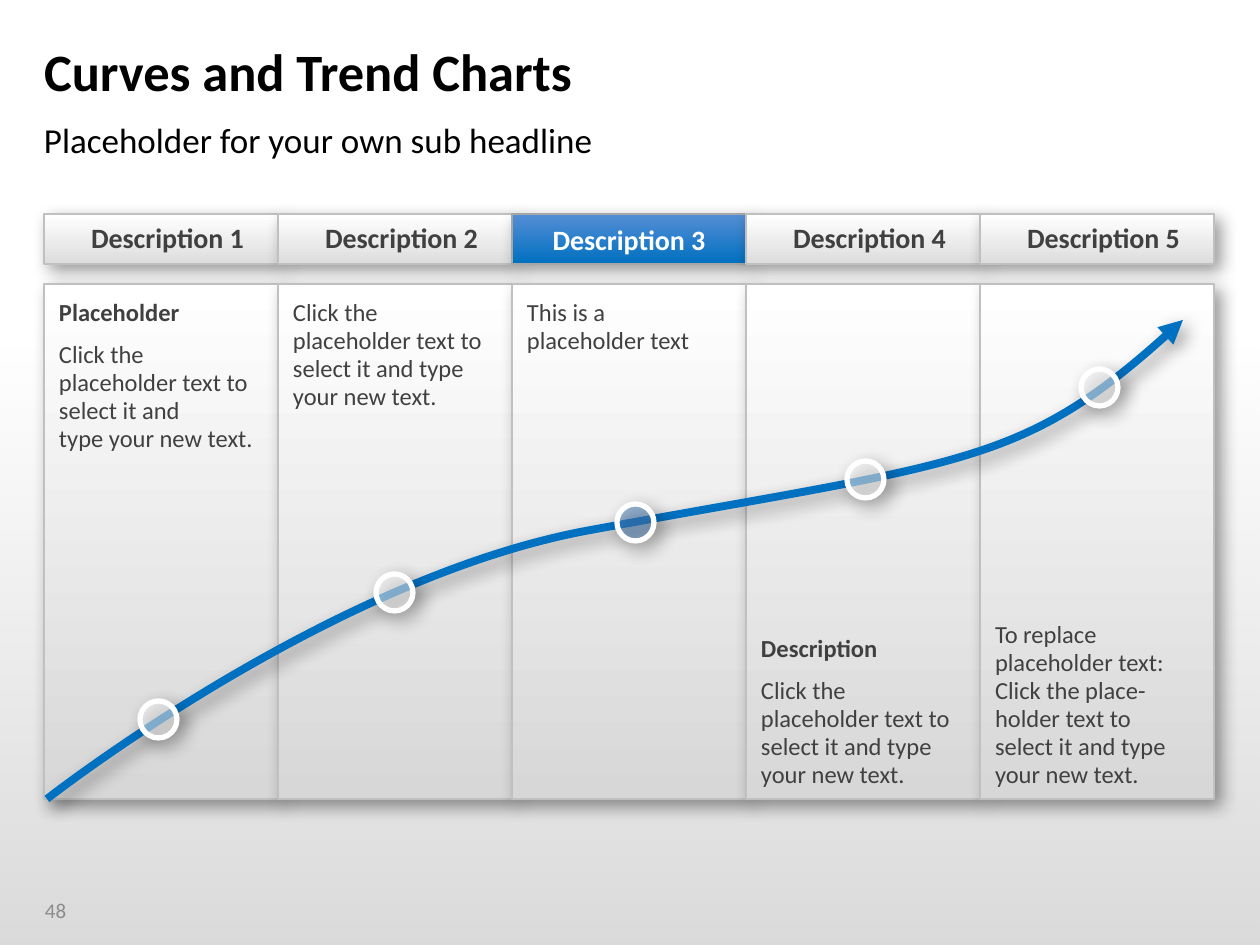
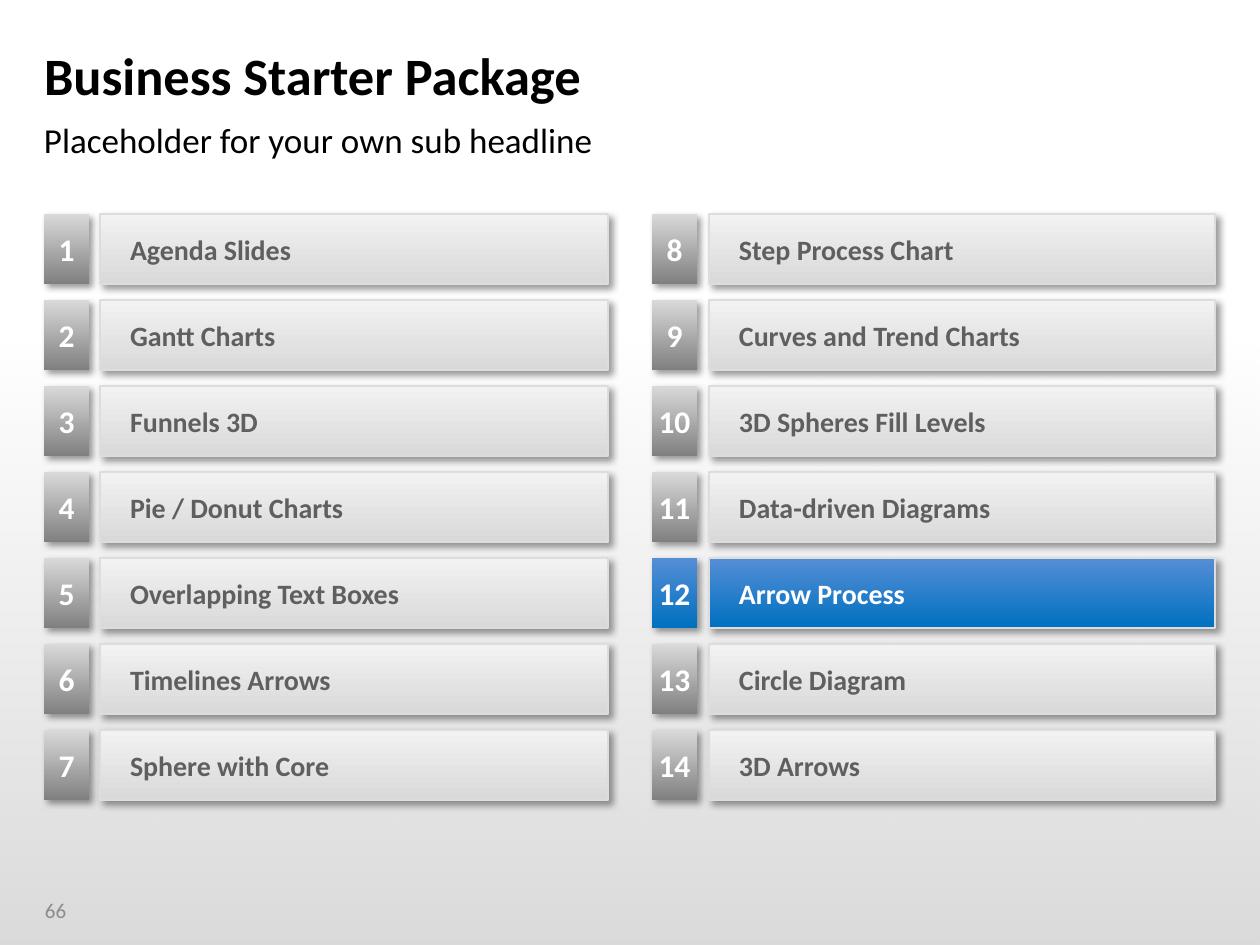
from copy import deepcopy
from dataclasses import dataclass
from typing import NamedTuple, Optional

from lxml.etree import SubElement
from pptx import Presentation
from pptx.dml.color import RGBColor
from pptx.enum.shapes import MSO_SHAPE as Shape
from pptx.enum.text import MSO_ANCHOR as Anchor, PP_ALIGN as Align
from pptx.oxml.ns import qn
from pptx.util import Emu, Pt

PX = 914400 / 126
FONT = "Calibri"
BLACK, WHITE = "000000", "FFFFFF"
DARK_GREY, LABEL_GREY, PAGE_GREY = "404040", "5F5F5F", "8C8C8C"
BORDER, HIGHLIGHT_BORDER, BAR_BORDER = "C0C0C0", "A6A6A6", "DDDDDD"
BLUE, MARKER_BLUE = "0070C0", "4F81BD"
BLUE_GRADIENT = ("558ED5", BLUE)
HEADER_GRADIENT = (WHITE, "DDDDDD")
COLUMN_GRADIENT = (WHITE, "D7D7D7")
BAR_GRADIENT = ("F2F2F2", "D9D9D9")
NUMBER_GRADIENT = ("D9D9D9", "808080")

LEFT, TOP, CONTENT_WIDTH = 44, 214, 1170


class Box(NamedTuple):
    left: int
    top: int
    width: int
    height: int


class Shadow(NamedTuple):
    blur: int
    distance: int


SOFT_SHADOW = Shadow(10, 5)
TIGHT_SHADOW = Shadow(4, 3)


@dataclass(frozen=True)
class Column:
    header: str
    text: str
    heading: str = ""
    anchor: Anchor = Anchor.TOP
    highlighted: bool = False


@dataclass(frozen=True)
class Marker:
    x: int
    y: int
    color: str = WHITE


@dataclass(frozen=True)
class AgendaColumn:
    number_left: int
    bar_left: int
    bar_width: int
    first_number: int
    topics: tuple[str, ...]


COLUMNS = (
    Column("Description 1", "Click the placeholder text to select it and\ntype your new text.",
           heading="Placeholder"),
    Column("Description 2", "Click the placeholder text to select it and type your new text."),
    Column("Description 3", "This is a placeholder text", highlighted=True),
    Column("Description 4", "Click the placeholder text to select it and type your new text.",
           heading="Description", anchor=Anchor.BOTTOM),
    Column("Description 5", "To replace placeholder text: Click the place-holder text "
           "to select it and type your new text.", anchor=Anchor.BOTTOM),
)
CURVE_POINTS = ((47, 799), (47, 799), (330, 577), (591, 530), (963, 462), (1026, 466), (1183, 320))
MARKERS = (Marker(394, 592), Marker(158, 719), Marker(635, 522, MARKER_BLUE),
           Marker(865, 479), Marker(1099, 387))
AGENDA = (
    AgendaColumn(44, 100, 508, 1, (
        "Agenda Slides", "Gantt Charts", "Funnels 3D", "Pie / Donut Charts",
        "Overlapping Text Boxes", "Timelines Arrows", "Sphere with Core")),
    AgendaColumn(652, 709, 506, 8, (
        "Step Process Chart", "Curves and Trend Charts", "3D Spheres Fill Levels",
        "Data-driven Diagrams", "Arrow Process", "Circle Diagram", "3D Arrows")),
)
CURRENT_TOPIC = 12


def px(length: float) -> Emu:
    return Emu(round(length * PX))


def rgb(color: str) -> RGBColor:
    return RGBColor.from_string(color)


def set_alpha(parent, percent: int) -> None:
    for color in parent.iter(qn("a:srgbClr")):
        SubElement(color, qn("a:alpha"), val=str(percent * 1000))


def set_line(shape, color: Optional[str], width: float) -> None:
    if color is None:
        shape.line.fill.background()
    else:
        shape.line.color.rgb = rgb(color)
        shape.line.width = Pt(width)


def set_shadow(shape, shadow: Optional[Shadow]) -> None:
    shape.shadow.inherit = False
    if shadow:
        effects = shape._element.spPr.find(qn("a:effectLst"))
        outer = SubElement(effects, qn("a:outerShdw"), blurRad=str(Pt(shadow.blur)),
                           dist=str(Pt(shadow.distance)), dir="2700000", algn="tl", rotWithShape="0")
        SubElement(outer, qn("a:srgbClr"), val=BLACK)
        set_alpha(outer, 40)


def add_panel(slide, box: Box, gradient: tuple[str, str], line: Optional[str] = None,
              line_width: float = 1, shadow: Optional[Shadow] = None):
    shape = slide.shapes.add_shape(Shape.RECTANGLE, *map(px, box))
    shape.fill.gradient()
    shape.fill.gradient_angle = 270
    for stop, color in zip(shape.fill.gradient_stops, gradient):
        stop.color.rgb = rgb(color)
    set_line(shape, line, line_width)
    set_shadow(shape, shadow)
    return shape


def set_frame(shape, insets: tuple[int, int, int, int], anchor: Anchor = Anchor.MIDDLE) -> None:
    frame = shape.text_frame
    frame.word_wrap = True
    frame.vertical_anchor = anchor
    frame.margin_left, frame.margin_top, frame.margin_right, frame.margin_bottom = map(px, insets)


def write(shape, text: str, *, size: int, color: str, bold: bool = False,
          align: Align = Align.LEFT, spacing: Optional[float] = None,
          after: Optional[int] = None) -> None:
    frame = shape.text_frame
    paragraph = frame.add_paragraph() if frame.text else frame.paragraphs[0]
    paragraph.text = text
    paragraph.alignment = align
    if spacing is not None:
        paragraph.line_spacing = spacing
    if after is not None:
        paragraph.space_after = Pt(after)
    for run in paragraph.runs:
        run.font.name = FONT
        run.font.size = Pt(size)
        run.font.bold = bold
        run.font.color.rgb = rgb(color)
    for line_break in paragraph._p.iter(qn("a:br")):
        line_break.append(deepcopy(paragraph.runs[0]._r.rPr))


def add_text_box(slide, box: Box, insets: tuple[int, int, int, int], text: str,
                 anchor: Anchor, size: int, color: str) -> None:
    shape = slide.shapes.add_textbox(*map(px, box))
    set_frame(shape, insets, anchor)
    write(shape, text, size=size, color=color)


def add_layout_shade(slide) -> None:
    shade = add_panel(slide, Box(0, 326, 1260, 619), (BLACK, BLACK))
    for stop, percent in zip(shade._element.iter(qn("a:gs")), (0, 15)):
        set_alpha(stop, percent)
    slide.slide_layout.shapes._spTree.insert(2, shade._element)


def add_titled_slide(presentation, title: str, page: int, title_spacing: Optional[float] = None):
    slide = presentation.slides.add_slide(presentation.slide_layouts[5])
    heading = slide.shapes.title
    heading.left, heading.top, heading.width, heading.height = map(px, (LEFT, 33, CONTENT_WIDTH, 84))
    set_frame(heading, (0, 6, 13, 6))
    write(heading, title, size=30, color=BLACK, bold=True, spacing=title_spacing)
    add_text_box(slide, Box(LEFT, 118, CONTENT_WIDTH, 47), (0, 0, 0, 0),
                 "Placeholder for your own sub headline", Anchor.TOP, 20, BLACK)
    add_text_box(slide, Box(32, 885, 81, 50), (13, 6, 13, 6), str(page), Anchor.MIDDLE, 12, PAGE_GREY)
    return slide


def add_column(slide, column: Column, left: int, width: int) -> None:
    header_box = Box(left, TOP, width, 50)
    if column.highlighted:
        header = add_panel(slide, header_box, BLUE_GRADIENT, HIGHLIGHT_BORDER, shadow=SOFT_SHADOW)
        set_frame(header, (0, 0, 0, 0))
        write(header, column.header, size=16, color=WHITE, bold=True, align=Align.CENTER)
    else:
        header = add_panel(slide, header_box, HEADER_GRADIENT, BORDER, shadow=SOFT_SHADOW)
        set_frame(header, (13, 0, 0, 0))
        write(header, column.header, size=16, color=DARK_GREY, bold=True,
              align=Align.CENTER, spacing=0.95, after=8)

    body = add_panel(slide, Box(left, 284, width, 515), COLUMN_GRADIENT, BORDER, 0.75, SOFT_SHADOW)
    set_frame(body, (15, 15, 20, 10), column.anchor)
    for text, bold in ((column.heading, True), (column.text, False)):
        if text:
            write(body, text, size=14, color=DARK_GREY, bold=bold, spacing=0.95, after=8)


def add_trend_curve(slide) -> None:
    start, *points = CURVE_POINTS
    builder = slide.shapes.build_freeform(*start, scale=PX)
    builder.add_line_segments(points, close=False)
    curve = builder.convert_to_shape()
    segments = list(curve._element.iter(qn("a:lnTo")))
    outline = segments[0].getparent()
    for first in range(0, len(segments), 3):
        bezier = SubElement(outline, qn("a:cubicBezTo"))
        for segment in segments[first:first + 3]:
            bezier.append(segment[0])
            outline.remove(segment)
    curve.fill.background()
    set_line(curve, BLUE, 4.5)
    SubElement(curve._element.spPr.find(qn("a:ln")), qn("a:tailEnd"), type="triangle")
    set_shadow(curve, SOFT_SHADOW)


def add_marker(slide, marker: Marker, size: int = 37) -> None:
    box = Box(marker.x - size // 2, marker.y - size // 2, size, size)
    shape = slide.shapes.add_shape(Shape.FLOWCHART_CONNECTOR, *map(px, box))
    shape.fill.solid()
    shape.fill.fore_color.rgb = rgb(marker.color)
    set_alpha(shape._element.spPr, 50)
    set_line(shape, WHITE, 3)
    set_shadow(shape, SOFT_SHADOW)


def add_topic(slide, column: AgendaColumn, row: int, topic: str) -> None:
    number = column.first_number + row
    current = number == CURRENT_TOPIC
    top, height = TOP + 86 * row, 70
    bar = add_panel(slide, Box(column.bar_left, top, column.bar_width, height),
                    BLUE_GRADIENT if current else BAR_GRADIENT, BAR_BORDER, shadow=TIGHT_SHADOW)
    set_frame(bar, (30, 5, 5, 5))
    write(bar, topic, size=16, color=WHITE if current else LABEL_GREY, bold=True)
    tile = add_panel(slide, Box(column.number_left, top, 45, height),
                     BLUE_GRADIENT if current else NUMBER_GRADIENT, shadow=TIGHT_SHADOW)
    set_frame(tile, (0, 0, 0, 0))
    write(tile, str(number), size=18, color=WHITE, bold=True, align=Align.CENTER)


def build_curve_slide(presentation) -> None:
    slide = add_titled_slide(presentation, "Curves and Trend Charts", 48, title_spacing=0.9)
    add_layout_shade(slide)
    width = CONTENT_WIDTH // len(COLUMNS)
    for index, column in enumerate(COLUMNS):
        add_column(slide, column, LEFT + index * width, width)
    add_trend_curve(slide)
    for marker in MARKERS:
        add_marker(slide, marker)


def build_agenda_slide(presentation) -> None:
    slide = add_titled_slide(presentation, "Business Starter Package", 66)
    for column in AGENDA:
        for row, topic in enumerate(column.topics):
            add_topic(slide, column, row, topic)


def main() -> None:
    presentation = Presentation()
    presentation.slide_width, presentation.slide_height = px(1260), px(945)
    build_curve_slide(presentation)
    build_agenda_slide(presentation)
    presentation.save("out.pptx")


if __name__ == "__main__":
    main()
